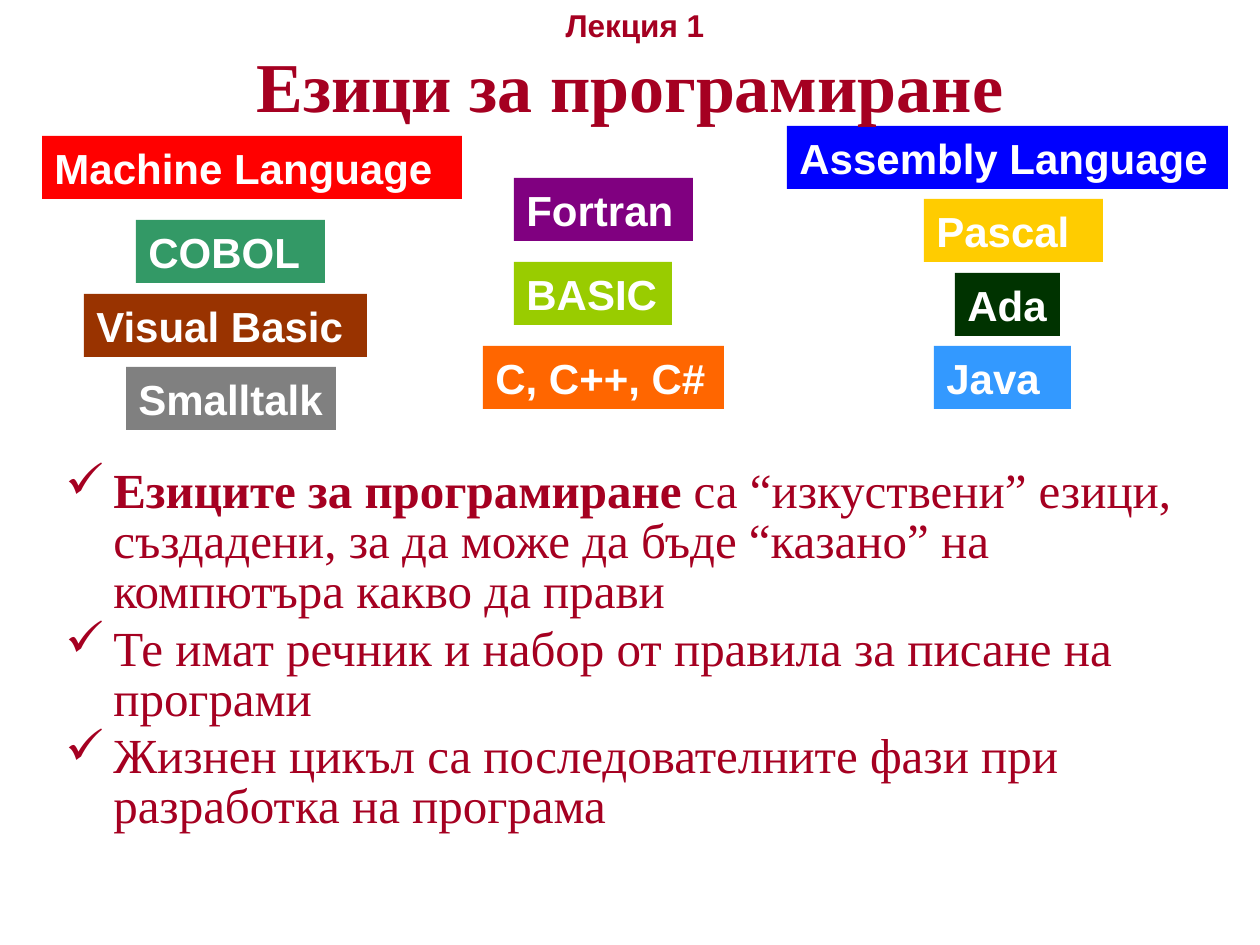
from pptx import Presentation
from pptx.dml.color import RGBColor
from pptx.enum.shapes import MSO_SHAPE
from pptx.enum.text import MSO_ANCHOR as Anchor, PP_ALIGN as Align
from pptx.oxml.ns import qn
from pptx.util import Emu, Pt
from lxml.etree import SubElement

PIXEL = 914400 // 126
COLORS = {
    "crimson": "A50021", "white": "FFFFFF", "red": "FF0000", "dark green": "003300",
    "gold": "FFCC00", "purple": "800080", "green": "339966", "blue": "0000FF",
    "gray": "808080", "brown": "993300", "lime": "99CC00", "sky": "3399FF",
    "orange": "FF6600",
}
LECTURE = "Лекция 1"
TITLE = "Езици за програмиране"
LABEL_HEIGHT = 63
LANGUAGES = [  # name, left, top, width, color
    ("Machine Language", 42, 136, 420, "red"),
    ("Ada", 955, 273, 105, "dark green"),
    ("Pascal", 924, 199, 179, "gold"),
    ("Fortran", 514, 178, 179, "purple"),
    ("COBOL", 136, 220, 189, "green"),
    ("Assembly Language", 787, 126, 441, "blue"),
    ("Smalltalk", 126, 367, 210, "gray"),
    ("Visual Basic", 84, 294, 283, "brown"),
    ("BASIC", 514, 262, 158, "lime"),
    ("Java", 934, 346, 137, "sky"),
    ("C, C++, C#", 483, 346, 241, "orange"),
]
BULLETS = [  # bold opening, rest
    ("Езиците за програмиране ",
     "са “изкуствени” езици, създадени, за да може да бъде “казано” "
     "на компютъра какво да прави"),
    ("", "Те имат речник и набор от правила за писане на програми"),
    ("", "Жизнен цикъл са последователните фази при разработка на програма"),
]
BULLET_INDENT = 48


def pixels(*values):
    """Turn pixel lengths into EMU."""
    return [Emu(value * PIXEL) for value in values]


def style(font, name, size, color, bold=None):
    """Set the look of a font."""
    font.name, font.size, font.bold = name, Pt(size), bold
    font.color.rgb = RGBColor.from_string(COLORS[color])


def add_text_box(slide, *box):
    """Add a wrapping text box and return its text frame."""
    frame = slide.shapes.add_textbox(*pixels(*box)).text_frame
    frame.word_wrap = True
    return frame


def add_heading(slide, text, box, name, size):
    """Add a centred bold heading and return its text frame."""
    frame = add_text_box(slide, *box)
    paragraph = frame.paragraphs[0]
    paragraph.text, paragraph.alignment = text, Align.CENTER
    style(paragraph.font, name, size, "crimson", True)
    return frame


def add_language(slide, name, left, top, width, color):
    """Add a filled label with a language name."""
    box = pixels(left, top, width, LABEL_HEIGHT)
    shape = slide.shapes.add_shape(MSO_SHAPE.RECTANGLE, *box)
    shape.shadow.inherit = False
    shape.fill.solid()
    shape.fill.fore_color.rgb = RGBColor.from_string(COLORS[color])
    shape.line.fill.background()
    frame = shape.text_frame
    frame.word_wrap, frame.margin_right = True, 0
    frame.vertical_anchor = Anchor.TOP
    paragraph = frame.paragraphs[0]
    paragraph.text, paragraph.alignment = name, Align.LEFT
    style(paragraph.font, "Arial", 24, "white", True)


def add_bullet(paragraph, opening, rest):
    """Fill a paragraph with a check mark bullet and its text."""
    if opening:
        run = paragraph.add_run()
        run.text, run.font.bold = opening, True
    paragraph.add_run().text = rest
    style(paragraph.font, "Times New Roman", 28, "crimson")
    for run in paragraph.runs:
        style(run.font, "Times New Roman", 28, "crimson", run.font.bold)
    paragraph.line_spacing, paragraph.space_before = 0.85, Pt(4.5)
    properties = paragraph._p.get_or_add_pPr()
    indent = BULLET_INDENT * PIXEL
    properties.set("marL", str(indent))
    properties.set("indent", str(-indent))
    bullet = SubElement(properties, qn("a:buChar"))
    bullet.set("char", "✓")
    default_run = properties.find(qn("a:defRPr"))
    if default_run is not None:
        default_run.addprevious(bullet)


presentation = Presentation()
presentation.slide_width, presentation.slide_height = pixels(1260, 945)
slide = presentation.slides.add_slide(presentation.slide_layouts[6])

add_heading(slide, LECTURE, (325, 0, 620, 50), "Arial", 18)
for language in LANGUAGES:
    add_language(slide, *language)
title = add_heading(slide, TITLE, (63, 0, 1134, 158), "Times New Roman", 40)
title.vertical_anchor = Anchor.MIDDLE
title.margin_top, title.margin_bottom = pixels(16, 6)

body = add_text_box(slide, 53, 462, 1134, 378)
for index, bullet in enumerate(BULLETS):
    add_bullet(body.add_paragraph() if index else body.paragraphs[0], *bullet)

presentation.save("out.pptx")
